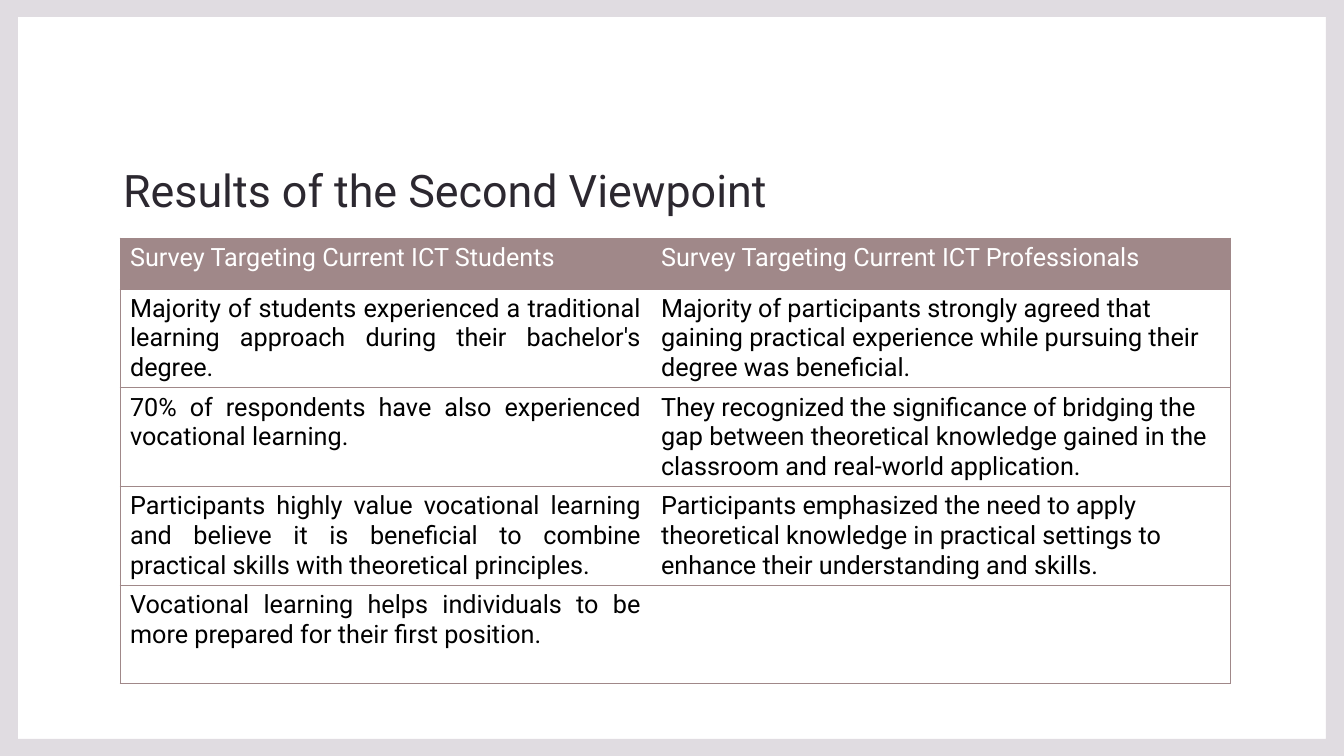
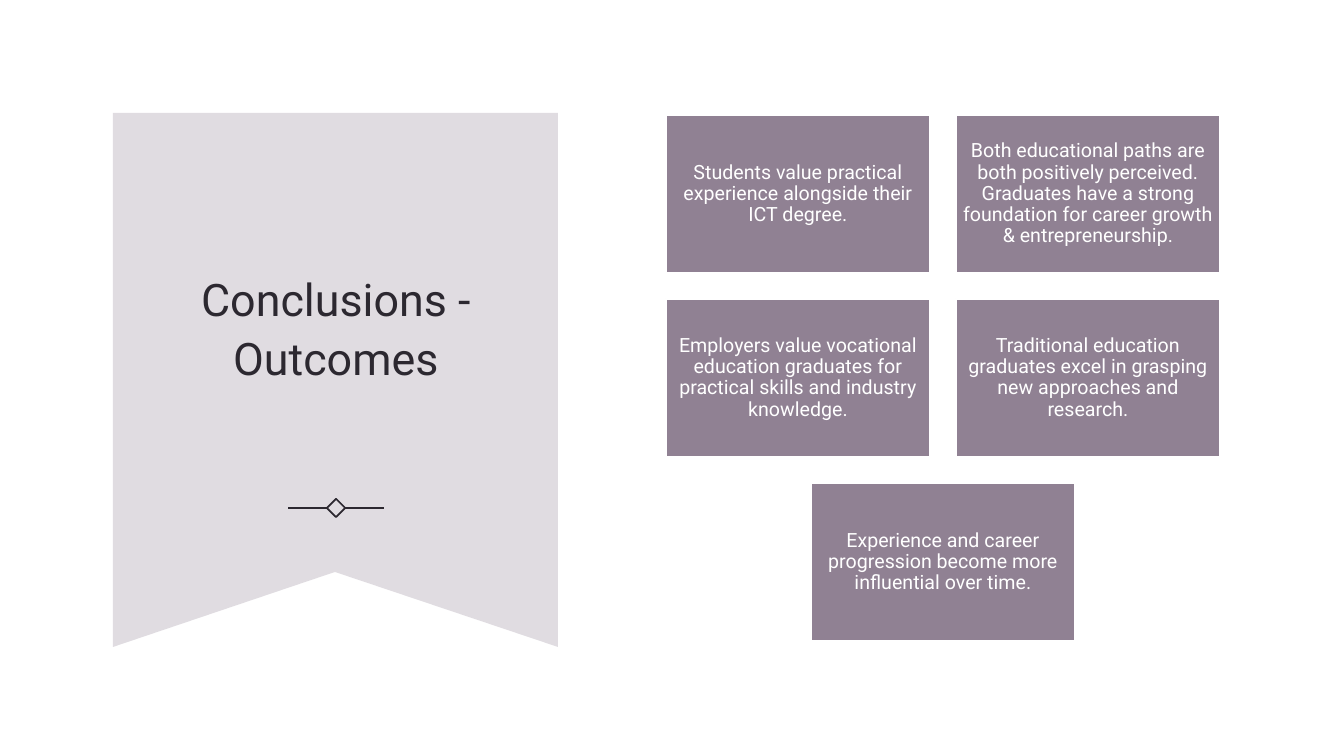
"""Build two slides on the survey results and conclusions of an ICT study."""
from dataclasses import dataclass
from typing import Optional

from lxml.etree import SubElement
from pptx import Presentation
from pptx.dml.color import RGBColor
from pptx.enum.shapes import MSO_CONNECTOR as Connector, MSO_SHAPE as Preset
from pptx.enum.text import MSO_ANCHOR as Anchor, MSO_AUTO_SIZE as AutoSize, PP_ALIGN as Align
from pptx.oxml.ns import qn
from pptx.util import Emu, Pt

EMU_PER_PX = 914400 / 100.8
SLIDE_WIDTH, SLIDE_HEIGHT = 1344, 756
FONT = "Roboto"
TITLE_ONLY_LAYOUT = 5
COLORS = {
    "white": "FFFFFF",
    "black": "000000",
    "ink": "2C2830",
    "lilac": "E0DCE1",
    "rose": "A08889",
    "mauve": "908193",
}


@dataclass(frozen=True)
class Box:
    """A rectangle in px."""

    left: int
    top: int
    width: int
    height: int

    def emu(self) -> tuple:
        """Return the four lengths in EMU."""
        return tuple(px(value) for value in (self.left, self.top, self.width, self.height))


@dataclass(frozen=True)
class TitleStyle:
    """Where a title stands and how it is aligned."""

    box: Box
    align: Align
    anchor: Anchor


@dataclass(frozen=True)
class CardGrid:
    """Size and spacing of rows of cards, each row centred."""

    area: Box
    card_width: int
    card_height: int
    gap: int
    columns: int


FULL_SLIDE = Box(0, 0, SLIDE_WIDTH, SLIDE_HEIGHT)
FRAME_OUTER = [(0, 0), (1344, 0), (1344, 756), (0, 756)]
FRAME_INNER = [(18, 17), (18, 739), (1326, 739), (1326, 17)]
RIBBON = [(113, 113), (558, 113), (558, 647), (335, 572), (113, 647)]
RIBBON_AXIS, ORNAMENT_Y = 336, 508
DIAMOND_SIDE, DIAMOND_REACH, ORNAMENT_REACH = 13, 9, 48

RESULTS_TITLE = TitleStyle(Box(113, 80, 1117, 142), Align.LEFT, Anchor.BOTTOM)
CONCLUSIONS_TITLE = TitleStyle(Box(157, 182, 358, 287), Align.CENTER, Anchor.MIDDLE)

TABLE_BOX = Box(120, 238, 1110, 444)
COLUMN_WIDTHS = (531, 579)
HEADER_HEIGHT, ROW_HEIGHT = 51, 98
SURVEY_ROWS = [
    ("Survey Targeting Current ICT Students", "Survey Targeting Current ICT Professionals"),
    (
        "Majority of students experienced a traditional learning approach during "
        "their bachelor's degree.",
        "Majority of participants strongly agreed that gaining practical experience "
        "while pursuing their degree was beneficial.",
    ),
    (
        "70% of respondents have also experienced vocational learning.",
        "They recognized the significance of bridging the gap between theoretical "
        "knowledge gained in the classroom and real-world application.",
    ),
    (
        "Participants highly value vocational learning and believe it is beneficial "
        "to combine practical skills with theoretical principles.",
        "Participants emphasized the need to apply theoretical knowledge in practical "
        "settings to enhance their understanding and skills.",
    ),
    (
        "Vocational learning helps individuals to be more prepared for their first position.",
        "",
    ),
]

CARD_GRID = CardGrid(Box(666, 115, 554, 526), 264, 158, 26, 2)
OUTCOMES = [
    "Students value practical experience alongside their ICT degree.",
    "Both educational paths are both positively perceived. Graduates have a strong "
    "foundation for career growth & entrepreneurship.",
    "Employers value vocational education graduates for practical skills and industry knowledge.",
    "Traditional education graduates excel in grasping new approaches and research.",
    "Experience and career progression become more influential over time.",
]


def px(value: float) -> Emu:
    """Turn px into EMU."""
    return Emu(round(value * EMU_PER_PX))


def color(name: str) -> RGBColor:
    """Look up a palette colour."""
    return RGBColor.from_string(COLORS[name])


def style_paragraph(paragraph, size: int, color_name: str, align: Align, spacing: float = 1.0) -> None:
    """Set the font, alignment and line spacing of a paragraph."""
    paragraph.font.name = FONT
    paragraph.font.size = Pt(size)
    paragraph.font.bold = False
    paragraph.font.color.rgb = color(color_name)
    paragraph.alignment = align
    paragraph.line_spacing = spacing


def style_shape(shape, fill: Optional[str], line: Optional[str] = None, width: float = 1) -> None:
    """Set fill and outline, and take the shadow away."""
    shape.shadow.inherit = False
    if fill:
        shape.fill.solid()
        shape.fill.fore_color.rgb = color(fill)
    else:
        shape.fill.background()
    if line:
        shape.line.color.rgb = color(line)
        shape.line.width = Pt(width)
    else:
        shape.line.fill.background()


def add_rectangle(slide, box: Box, fill: Optional[str], line: Optional[str] = None, width: float = 1):
    """Draw a plain rectangle."""
    shape = slide.shapes.add_shape(Preset.RECTANGLE, *box.emu())
    style_shape(shape, fill, line, width)
    return shape


def add_outline(slide, fill: str, *contours: list):
    """Draw a filled shape made of one or more closed contours."""
    first, *others = contours
    builder = slide.shapes.build_freeform(*first[0], scale=EMU_PER_PX)
    builder.add_line_segments(first[1:], close=True)
    for contour in others:
        builder.move_to(*contour[0])
        builder.add_line_segments(contour[1:], close=True)
    shape = builder.convert_to_shape()
    style_shape(shape, fill)
    return shape


def add_titled_slide(presentation, text: str, style: TitleStyle):
    """Add a slide and format its title placeholder."""
    slide = presentation.slides.add_slide(presentation.slide_layouts[TITLE_ONLY_LAYOUT])
    title = slide.shapes.title
    title.left, title.top, title.width, title.height = style.box.emu()
    frame = title.text_frame
    frame.text = text
    frame.auto_size = AutoSize.NONE
    frame.vertical_anchor = style.anchor
    style_paragraph(frame.paragraphs[0], 32, "ink", style.align, 1.1)
    return slide


def add_master_frame(presentation, slide) -> None:
    """Draw the border and hand it to the slide master."""
    border = add_outline(slide, "lilac", FRAME_OUTER, FRAME_INNER)
    presentation.slide_master.shapes.element.insert(2, border.element)


def set_borders(cell, visible_sides: str) -> None:
    """Draw the named cell sides and hide the rest."""
    properties = cell._tc.get_or_add_tcPr()
    for side in "LRTB":
        line = SubElement(properties, qn(f"a:ln{side}"), w=str(Pt(0.5)))
        if side in visible_sides:
            fill = SubElement(line, qn("a:solidFill"))
            SubElement(fill, qn("a:srgbClr"), val=COLORS["rose"])
        else:
            SubElement(line, qn("a:noFill"))


def add_survey_table(slide) -> None:
    """Draw the table that compares the two surveys."""
    size = len(SURVEY_ROWS), len(COLUMN_WIDTHS)
    table = slide.shapes.add_table(*size, *TABLE_BOX.emu()).table
    table.horz_banding = False
    for column, width in zip(table.columns, COLUMN_WIDTHS):
        column.width = px(width)
    for row_index, texts in enumerate(SURVEY_ROWS):
        is_header = row_index == 0
        table.rows[row_index].height = px(HEADER_HEIGHT if is_header else ROW_HEIGHT)
        for column_index, text in enumerate(texts):
            cell = table.cell(row_index, column_index)
            cell.text = text
            justified = column_index == 0 and not is_header
            style_paragraph(
                cell.text_frame.paragraphs[0],
                18,
                "white" if is_header else "black",
                Align.JUSTIFY if justified else Align.LEFT,
            )
            set_borders(cell, "LTB" if column_index == 0 else "RTB")
            if is_header:
                cell.fill.solid()
                cell.fill.fore_color.rgb = color("rose")
            else:
                cell.fill.background()


def add_rule(slide, start: int, end: int, y: int) -> None:
    """Draw a thin horizontal line."""
    rule = slide.shapes.add_connector(Connector.STRAIGHT, px(start), px(y), px(end), px(y))
    rule.line.color.rgb = color("ink")
    rule.line.width = Pt(1.25)
    SubElement(rule.element.spPr, qn("a:effectLst"))


def add_ornament(slide) -> None:
    """Draw a diamond between two lines."""
    half = DIAMOND_SIDE / 2
    box = Box(RIBBON_AXIS - half, ORNAMENT_Y - half, DIAMOND_SIDE, DIAMOND_SIDE)
    add_rectangle(slide, box, None, "ink", 1.25).rotation = 45
    for side in (-1, 1):
        add_rule(
            slide,
            RIBBON_AXIS + side * DIAMOND_REACH,
            RIBBON_AXIS + side * ORNAMENT_REACH,
            ORNAMENT_Y,
        )


def add_card(slide, box: Box, text: str) -> None:
    """Draw one outcome card."""
    card = add_rectangle(slide, box, "mauve", "white")
    frame = card.text_frame
    frame.word_wrap = True
    frame.vertical_anchor = Anchor.MIDDLE
    frame.margin_left = frame.margin_right = frame.margin_top = frame.margin_bottom = px(6)
    frame.text = text
    style_paragraph(frame.paragraphs[0], 14, "white", Align.CENTER, 0.9)


def add_cards(slide, grid: CardGrid, texts: list) -> None:
    """Lay the cards out in centred rows."""
    step_x, step_y = grid.card_width + grid.gap, grid.card_height + grid.gap
    for row, start in enumerate(range(0, len(texts), grid.columns)):
        row_texts = texts[start:start + grid.columns]
        row_width = len(row_texts) * step_x - grid.gap
        left = grid.area.left + (grid.area.width - row_width) // 2
        top = grid.area.top + row * step_y
        for column, text in enumerate(row_texts):
            box = Box(left + column * step_x, top, grid.card_width, grid.card_height)
            add_card(slide, box, text)


def main() -> None:
    """Build and save the presentation."""
    presentation = Presentation()
    presentation.slide_width, presentation.slide_height = px(SLIDE_WIDTH), px(SLIDE_HEIGHT)

    results = add_titled_slide(presentation, "Results of the Second Viewpoint", RESULTS_TITLE)
    add_master_frame(presentation, results)
    add_survey_table(results)

    conclusions = add_titled_slide(presentation, "Conclusions - Outcomes", CONCLUSIONS_TITLE)
    cover = add_rectangle(conclusions, FULL_SLIDE, "white")
    ribbon = add_outline(conclusions, "lilac", RIBBON)
    for position, backdrop in enumerate((cover, ribbon), start=2):
        conclusions.shapes.element.insert(position, backdrop.element)
    add_ornament(conclusions)
    add_cards(conclusions, CARD_GRID, OUTCOMES)

    presentation.save("out.pptx")


if __name__ == "__main__":
    main()
